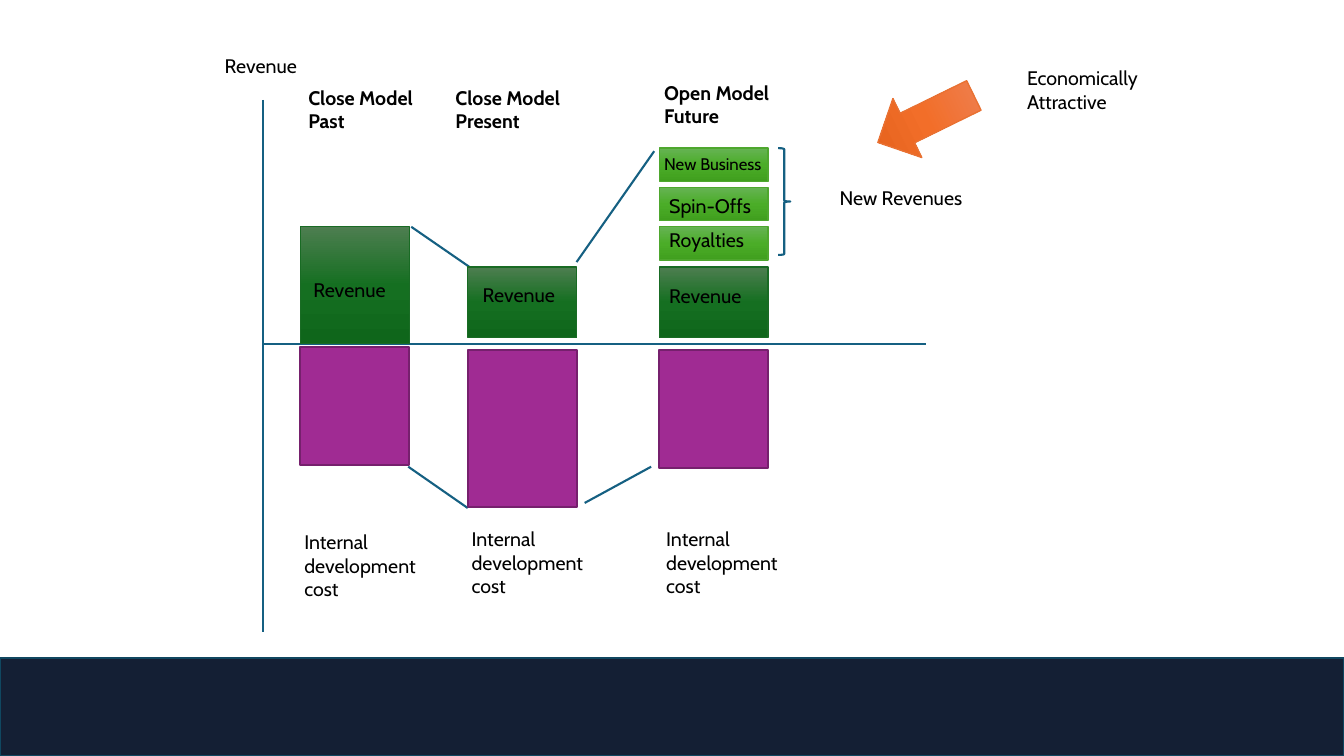
from copy import deepcopy

from lxml.etree import SubElement
from pptx import Presentation
from pptx.dml.color import RGBColor
from pptx.enum.shapes import MSO_CONNECTOR, MSO_SHAPE
from pptx.enum.text import MSO_AUTO_SIZE
from pptx.oxml.ns import qn
from pptx.util import Inches, Pt

# Grid: square cells of a tenth of an inch
CELL = Inches(0.1)
COLUMNS, ROWS = 133.33, 75
FONT = "Cabin"

BLACK = RGBColor(0x00, 0x00, 0x00)
NAVY = RGBColor(0x14, 0x1F, 0x34)
NAVY_EDGE = RGBColor(0x10, 0x47, 0x60)
BLUE = RGBColor(0x15, 0x60, 0x82)
PURPLE = RGBColor(0xA0, 0x2B, 0x93)
PURPLE_EDGE = RGBColor(0x76, 0x20, 0x6D)
DARK_GREEN = [RGBColor(0x4D, 0x7E, 0x50), RGBColor(0x15, 0x6F, 0x21), RGBColor(0x0F, 0x66, 0x1B)]
DARK_GREEN_EDGE = RGBColor(0x19, 0x6B, 0x24)
LIGHT_GREEN = [RGBColor(0x66, 0xB3, 0x54), RGBColor(0x4B, 0xAD, 0x28), RGBColor(0x40, 0x9F, 0x1E)]
LIGHT_GREEN_EDGE = RGBColor(0x4E, 0xA7, 0x2E)
ORANGE = [RGBColor(0xED, 0x82, 0x57), RGBColor(0xF2, 0x6E, 0x29), RGBColor(0xE2, 0x5F, 0x1A)]
ORANGE_EDGE = RGBColor(0xE9, 0x71, 0x32)

prs = Presentation()
prs.slide_width = round(COLUMNS * CELL)
prs.slide_height = ROWS * CELL
slide = prs.slides.add_slide(prs.slide_layouts[6])


def add_block(kind, place, fill, edge, weight=1.5):
    """Fill is None, one colour, or a list of three colours from top to bottom."""
    block = slide.shapes.add_shape(kind, *[round(n * CELL) for n in place])
    block.shadow.inherit = False
    block.line.color.rgb = edge
    block.line.width = Pt(weight)
    if fill is None:
        block.fill.background()
    elif isinstance(fill, list):
        block.fill.gradient()
        block.fill.gradient_angle = 270
        stops = block._element.xpath(".//a:gsLst")[0]
        stops.append(deepcopy(stops[0]))
        for stop, color, position in zip(block.fill.gradient_stops, fill, (0, 0.5, 1)):
            stop.color.rgb = color
            stop.position = position
    else:
        block.fill.solid()
        block.fill.fore_color.rgb = fill
    return block


def add_label(left, top, lines, size=14, bold=False, height=3.4):
    place = (left, top, 15.8, height)
    frame = slide.shapes.add_textbox(*[round(n * CELL) for n in place]).text_frame
    frame.word_wrap = True
    frame.auto_size = MSO_AUTO_SIZE.SHAPE_TO_FIT_TEXT
    for i, line in enumerate(lines):
        paragraph = frame.add_paragraph() if i else frame.paragraphs[0]
        run = paragraph.add_run()
        run.text = line
        run.font.name = FONT
        run.font.size = Pt(size)
        run.font.bold = bold
        run.font.color.rgb = BLACK


# Footer band
add_block(MSO_SHAPE.RECTANGLE, (0, 65.3, COLUMNS, 9.7), NAVY, NAVY_EDGE)

# Axes, then the links between neighbouring bars
for x1, y1, x2, y2 in [
    (26.1, 9.9, 26.1, 62.7),
    (26.1, 34.1, 91.9, 34.1),
    (40.8, 22.5, 46.6, 26.5),
    (40.5, 46.3, 46.4, 50.4),
    (57.2, 26, 64.9, 15),
    (58, 49.9, 64.6, 46.3),
]:
    ends = [round(n * CELL) for n in (x1, y1, x2, y2)]
    link = slide.shapes.add_connector(MSO_CONNECTOR.STRAIGHT, *ends)
    link.line.color.rgb = BLUE
    link.line.width = Pt(1.5)
    SubElement(link._element.spPr, qn("a:effectLst"))
add_label(21.3, 4.9, ["Revenue"])

# Models: bar left, (revenue top, height), (cost top, height),
# then left and top of the title, revenue and cost labels
BAR_WIDTH = 10.8
models = [
    (29.8, (22.5, 11.6), (34.4, 11.7), ["Close Model", "Past"], (29.6, 8), (30.1, 27.1), (29.2, 52.1)),
    (46.4, (26.5, 7), (34.7, 15.6), ["Close Model", "Present"], (44.2, 8), (46.9, 27.6), (45.8, 51.8)),
    (65.4, (26.5, 7), (34.7, 11.7), ["Open Model", "Future"], (64.9, 7.5), (65.4, 27.7), (65.1, 51.8)),
]
for left, revenue, cost, title, title_at, revenue_at, cost_at in models:
    add_block(MSO_SHAPE.RECTANGLE, (left, revenue[0], BAR_WIDTH, revenue[1]), DARK_GREEN, DARK_GREEN_EDGE, 1)
    add_block(MSO_SHAPE.RECTANGLE, (left, cost[0], BAR_WIDTH, cost[1]), PURPLE, PURPLE_EDGE)
    add_label(*title_at, title, bold=True, height=5.7)
    add_label(*revenue_at, ["Revenue"])
    add_label(*cost_at, ["Internal development cost"], height=8.1)

# New revenue sources stacked on the open model
sources = [("New Business", 64.9, 14.8, 12), ("Spin-Offs", 65.4, 18.7, 14), ("Royalties", 65.4, 22.1, 14)]
for i, (source, text_left, text_top, size) in enumerate(sources):
    add_block(MSO_SHAPE.RECTANGLE, (65.4, 14.7 + 3.9 * i, BAR_WIDTH, 3.3), LIGHT_GREEN, LIGHT_GREEN_EDGE, 1)
    add_label(text_left, text_top, [source], size)
add_block(MSO_SHAPE.RIGHT_BRACE, (77.2, 14.7, 1.2, 10.6), None, BLUE)
add_label(82.3, 18, ["New Revenues"])

# Callout
arrow = add_block(MSO_SHAPE.DOWN_ARROW, (88.6, 6.5, 6.5, 10.6), ORANGE, ORANGE_EDGE, 1)
arrow.rotation = 63.9
add_label(100.9, 6.1, ["Economically Attractive"], height=5.7)

prs.save("out.pptx")
